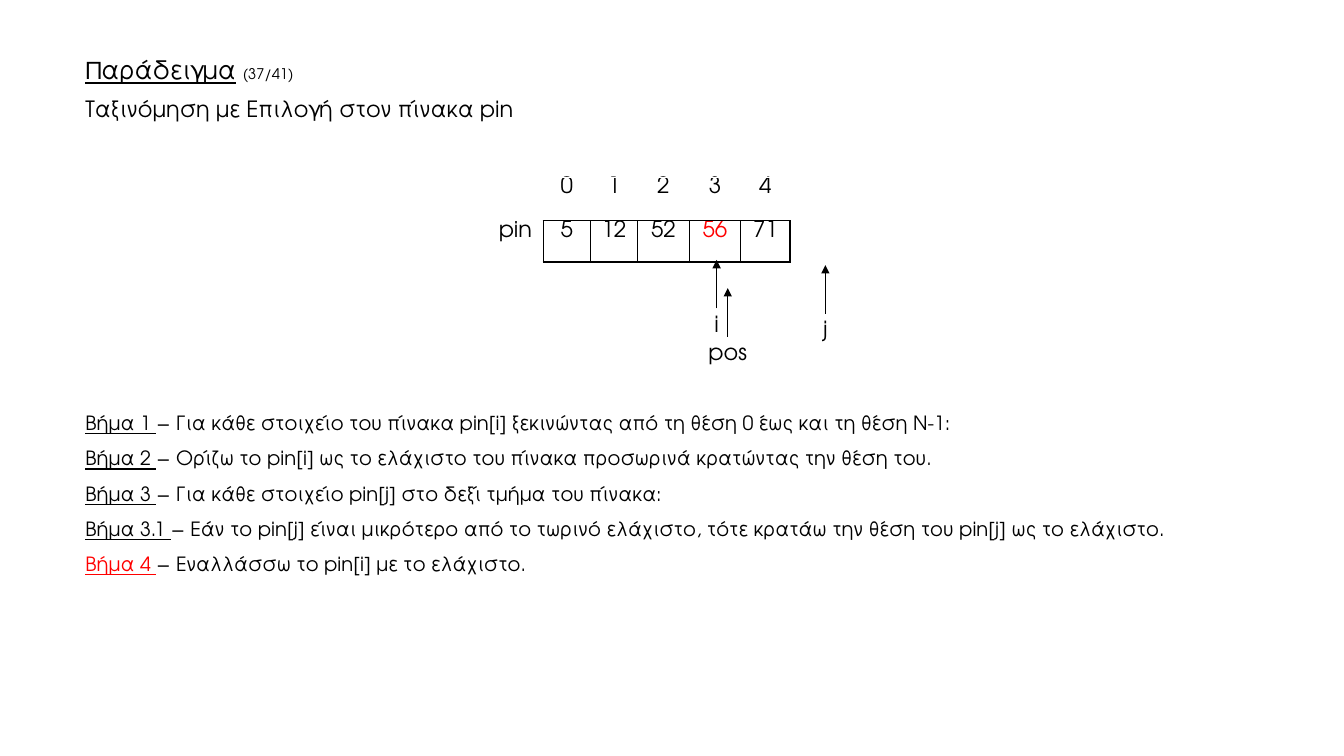
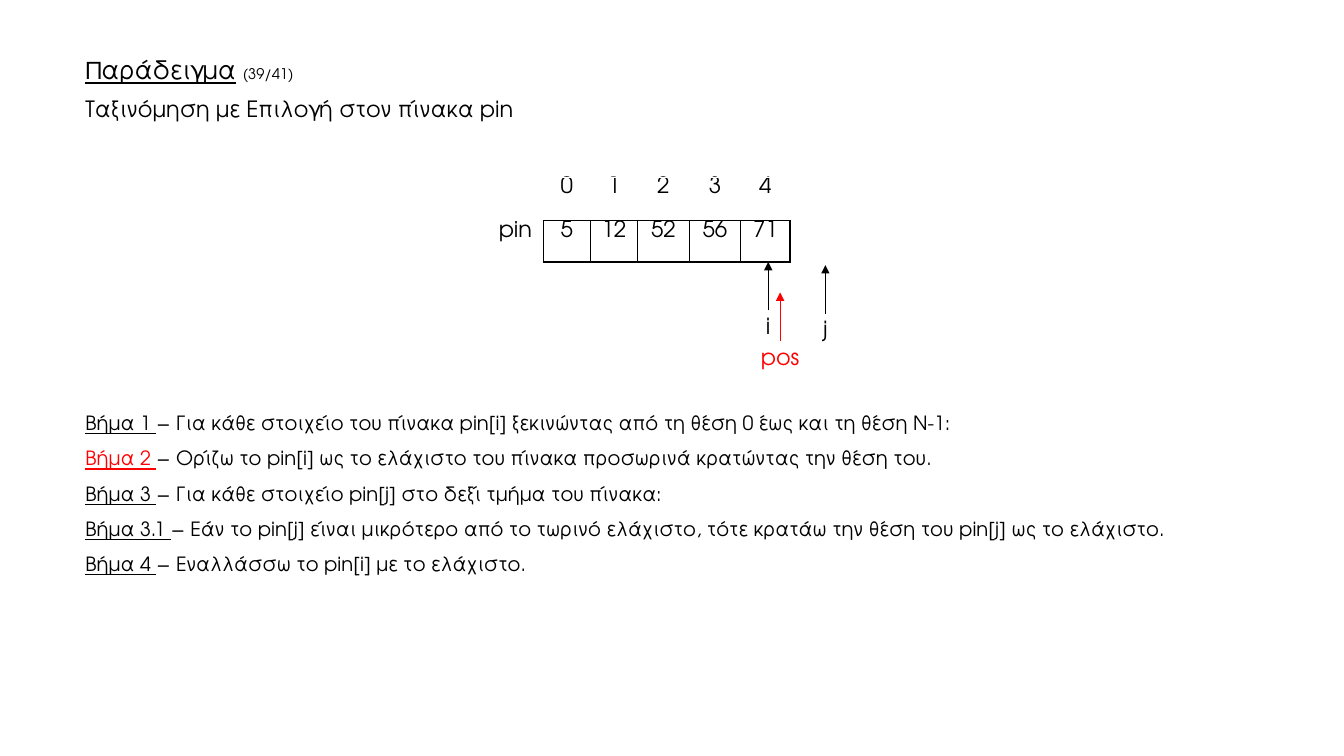
from dataclasses import dataclass

from lxml import etree
from pptx import Presentation
from pptx import util as u
from pptx.dml.color import RGBColor
from pptx.enum import shapes, text
from pptx.oxml import ns


@dataclass(frozen=True)
class Theme:
    font: str = "TeX Gyre Adventor"
    ink: RGBColor = RGBColor(0, 0, 0)
    accent: RGBColor = RGBColor(255, 0, 0)
    title: float = 18
    counter: float = 10.5
    normal: float = 16
    step: float = 14
    border: float = 1
    arrow: float = 0.5


theme = Theme()

# Shared wording and geometry, in centimetres
SUBTITLE = "Ταξινόμηση με Επιλογή στον πίνακα pin"
STEPS = [
    ("Βήμα 1 ", "− Για κάθε στοιχείο του πίνακα pin[i] ξεκινώντας από τη θέση 0 έως και τη θέση Ν-1:"),
    ("Βήμα 2 ", "− Ορίζω το pin[i] ως το ελάχιστο του πίνακα προσωρινά κρατώντας την θέση του."),
    ("Βήμα 3 ", "− Για κάθε στοιχείο pin[j] στο δεξί τμήμα του πίνακα:"),
    ("Βήμα 3.1 ", "− Εάν το pin[j] είναι μικρότερο από το τωρινό ελάχιστο, "
                  "τότε κρατάω την θέση του pin[j] ως το ελάχιστο."),
    ("Βήμα 4 ", "− Εναλλάσσω το pin[i] με το ελάχιστο."),
]
ARRAY_ROWS = [["", "0", "1", "2", "3", "4"], ["pin", "5", "12", "52", "56", "71"]]
COLUMN_WIDTHS = [1.4, 1.19, 1.19, 1.3, 1.3, 1.24]
ROW_HEIGHTS = [1.09, 1.04]
TITLE_BOX = (1.9, 1.32, 27.41, 1.96)
STEPS_BOX = (1.9, 9.93, 29.29, 4.62)
ARROW_LENGTH = 1.22
LABEL_WIDTH, LABEL_HEIGHT = 2.5, 0.91

# What changes from slide to slide: pointers are name, x and y of the tip
SLIDES = [
    {"counter": "(37/41)", "red": {"56", "Βήμα 4 "},
     "pointers": [("i", 18.06, 6.55), ("pos", 18.34, 7.26), ("j", 20.8, 6.68)]},
    {"counter": "(39/41)", "red": {"pos", "Βήμα 2 "},
     "pointers": [("i", 19.36, 6.6), ("pos", 19.66, 7.37), ("j", 20.8, 6.68)]},
]


def set_values(target, values):
    for name, value in values.items():
        setattr(target, name, value)


def add_run(paragraph, words, size, color=theme.ink, underline=False):
    run = paragraph.add_run()
    run.text = words
    set_values(run.font, {"name": theme.font, "size": u.Pt(size), "underline": underline})
    run.font.color.rgb = color


presentation = Presentation()
set_values(presentation, {"slide_width": u.Cm(33.87), "slide_height": u.Cm(19.05)})
frame_format = {"word_wrap": True, "auto_size": text.MSO_AUTO_SIZE.NONE,
                "vertical_anchor": text.MSO_ANCHOR.TOP}

for content in SLIDES:
    slide = presentation.slides.add_slide(presentation.slide_layouts[1])
    title, body = slide.placeholders
    colors = {words: theme.accent for words in content["red"]}

    # Placeholders
    for shape, box in ((title, TITLE_BOX), (body, STEPS_BOX)):
        set_values(shape, dict(zip(("left", "top", "width", "height"), map(u.Cm, box))))
        set_values(shape.text_frame, frame_format)

    # Title and subtitle
    heading = title.text_frame.paragraphs[0]
    subtitle = title.text_frame.add_paragraph()
    for paragraph, space in ((heading, 0), (subtitle, 10)):
        set_values(paragraph, {"alignment": text.PP_ALIGN.LEFT, "line_spacing": 0.9,
                               "space_before": u.Pt(space)})
    add_run(heading, "Παράδειγμα", theme.title, underline=True)
    add_run(heading, " ", theme.title)
    add_run(heading, content["counter"], theme.counter)
    add_run(subtitle, SUBTITLE, theme.normal)

    # Steps of the algorithm
    for index, (label, sentence) in enumerate(STEPS):
        paragraph = body.text_frame.add_paragraph() if index else body.text_frame.paragraphs[0]
        set_values(paragraph, {"line_spacing": 1.5, "space_before": u.Pt(0)})
        properties = paragraph._p.get_or_add_pPr()
        properties.set("marL", "0")
        properties.set("indent", "0")
        etree.SubElement(properties, ns.qn("a:buNone"))
        add_run(paragraph, label, theme.step, colors.get(label, theme.ink), underline=True)
        add_run(paragraph, sentence, theme.step)

    # Array with its indices
    frame = slide.shapes.add_table(len(ROW_HEIGHTS), len(COLUMN_WIDTHS), u.Cm(12.29), u.Cm(4.47),
                                   u.Cm(sum(COLUMN_WIDTHS)), u.Cm(sum(ROW_HEIGHTS)))
    table = frame.table
    set_values(table, {"first_row": False, "horz_banding": False})
    for column, width in zip(table.columns, COLUMN_WIDTHS):
        column.width = u.Cm(width)
    for row, height, values, name_sides, value_sides in zip(
            table.rows, ROW_HEIGHTS, ARRAY_ROWS, ("", "R"), ("B", "LRTB")):
        row.height = u.Cm(height)
        for index, (cell, value) in enumerate(zip(row.cells, values)):
            set_values(cell, dict.fromkeys(
                ("margin_left", "margin_right", "margin_top", "margin_bottom"), 0))
            for side in value_sides if index else name_sides:
                border = etree.SubElement(cell._tc.get_or_add_tcPr(), ns.qn(f"a:ln{side}"),
                                          w=str(u.Pt(theme.border)))
                fill = etree.SubElement(border, ns.qn("a:solidFill"))
                etree.SubElement(fill, ns.qn("a:srgbClr"), val=str(theme.ink))
            cell.fill.background()
            paragraph = cell.text_frame.paragraphs[0]
            paragraph.alignment = text.PP_ALIGN.CENTER
            if value:
                add_run(paragraph, value, theme.normal, colors.get(value, theme.ink))

    # Pointers: a label centred under an arrow
    for name, x, tip in content["pointers"]:
        color = colors.get(name, theme.ink)
        base = tip + ARROW_LENGTH
        label = slide.shapes.add_textbox(u.Cm(x - LABEL_WIDTH / 2), u.Cm(base),
                                         u.Cm(LABEL_WIDTH), u.Cm(LABEL_HEIGHT))
        set_values(label.text_frame, frame_format)
        paragraph = label.text_frame.paragraphs[0]
        set_values(paragraph, {"alignment": text.PP_ALIGN.CENTER, "line_spacing": 0.9})
        add_run(paragraph, name, theme.normal, color)

        arrow = slide.shapes.add_connector(shapes.MSO_CONNECTOR.STRAIGHT,
                                           u.Cm(x), u.Cm(base), u.Cm(x), u.Cm(tip))
        arrow.line.width = u.Pt(theme.arrow)
        arrow.line.color.rgb = color
        etree.SubElement(arrow.line._get_or_add_ln(), ns.qn("a:tailEnd"), type="triangle")
        etree.SubElement(arrow._element.spPr, ns.qn("a:effectLst"))

presentation.save("out.pptx")
